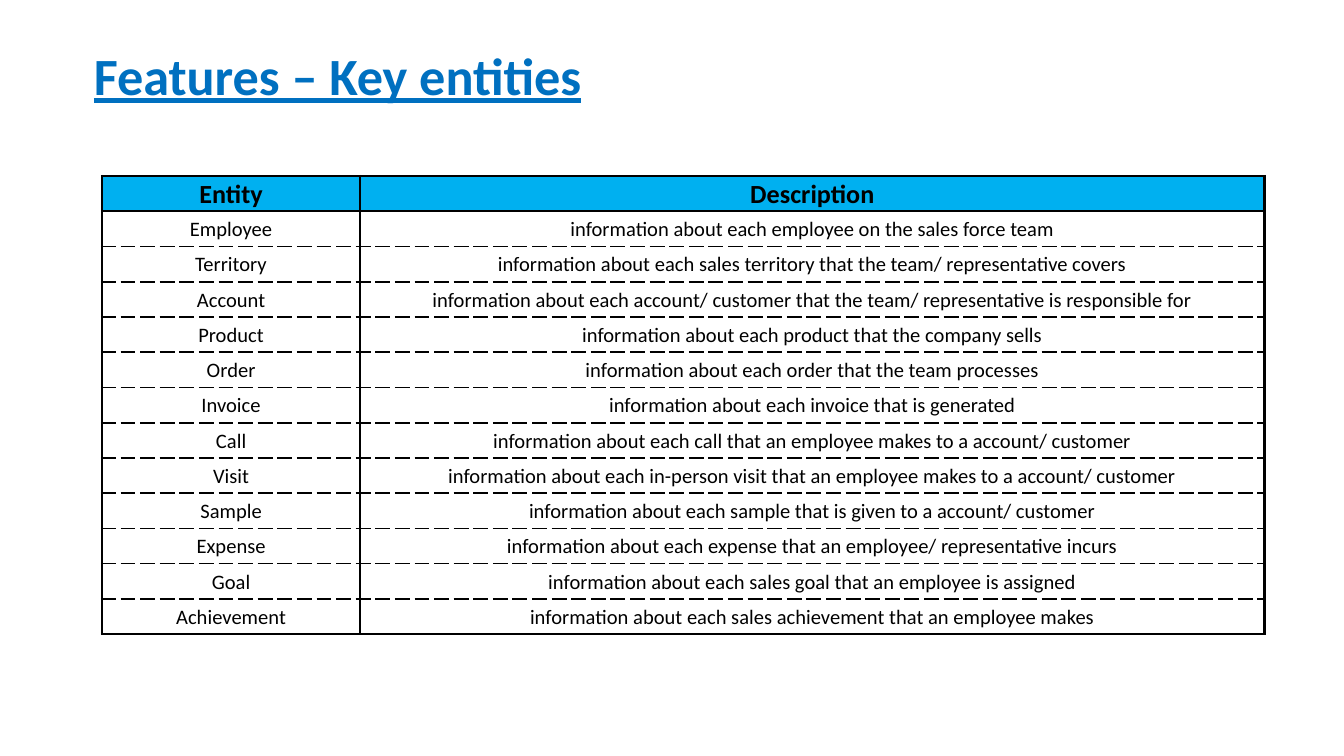
from lxml import etree
from pptx import Presentation
from pptx.dml.color import RGBColor
from pptx.enum.text import MSO_ANCHOR, MSO_AUTO_SIZE, PP_ALIGN
from pptx.oxml.ns import qn
from pptx.util import Inches, Pt

TITLE = "Features – Key entities"
ROWS = [
    ("Entity", "Description"),
    ("Employee", "information about each employee on the sales force team"),
    ("Territory", "information about each sales territory that the team/ representative covers"),
    ("Account", "information about each account/ customer that the team/ representative is responsible for"),
    ("Product", "information about each product that the company sells"),
    ("Order", "information about each order that the team processes"),
    ("Invoice", "information about each invoice that is generated"),
    ("Call", "information about each call that an employee makes to a account/ customer"),
    ("Visit", "information about each in-person visit that an employee makes to a account/ customer"),
    ("Sample", "information about each sample that is given to a account/ customer"),
    ("Expense", "information about each expense that an employee/ representative incurs"),
    ("Goal", "information about each sales goal that an employee is assigned"),
    ("Achievement", "information about each sales achievement that an employee makes"),
]
SLIDE_WIDTH = 10
SLIDE_HEIGHT = SLIDE_WIDTH * 9 / 16
COL_WIDTHS = (1.92, 6.73)
LEFT, TOP, HEIGHT = 0.76, 1.31, 3.41
BLACK, BLUE, HEADER_FILL = "000000", "0070C0", "00B0F0"
SOLID, DASHED = (1.5, "solid"), (1, "sysDash")


def color(value):
    return RGBColor.from_string(value)


def set_font(p, size, value, bold=False):
    p.font.name = "Calibri"
    p.font.size = Pt(size)
    p.font.bold = bold
    p.font.color.rgb = color(value)


def add_border(cell, side, width, dash):
    tcPr = cell._tc.get_or_add_tcPr()
    ln = etree.SubElement(tcPr, qn(f"a:ln{side}"), w=str(Pt(width)))
    fill = etree.SubElement(ln, qn("a:solidFill"))
    etree.SubElement(fill, qn("a:srgbClr"), val=BLACK)
    etree.SubElement(ln, qn("a:prstDash"), val=dash)


def fill_cell(cell, text, row):
    header = row == 0
    top = SOLID if row <= 1 else DASHED
    bottom = SOLID if row in (0, len(ROWS) - 1) else DASHED
    for side, style in zip("LRTB", (SOLID, SOLID, top, bottom)):
        add_border(cell, side, *style)
    if header:
        cell.fill.solid()
        cell.fill.fore_color.rgb = color(HEADER_FILL)
    else:
        cell.fill.background()
    cell.margin_left = cell.margin_right = cell.margin_top = Inches(0.01)
    cell.margin_bottom = 0
    cell.vertical_anchor = MSO_ANCHOR.MIDDLE
    cell.text = text
    p = cell.text_frame.paragraphs[0]
    p.alignment = PP_ALIGN.CENTER
    set_font(p, 14 if header else 11, BLACK, header)


prs = Presentation()
prs.slide_width, prs.slide_height = Inches(SLIDE_WIDTH), Inches(SLIDE_HEIGHT)
s = prs.slides.add_slide(prs.slide_layouts[6])

tf = s.shapes.add_textbox(Inches(0.6), Inches(0.27), Inches(4.49), Inches(0.57)).text_frame
tf.word_wrap = False
tf.auto_size = MSO_AUTO_SIZE.SHAPE_TO_FIT_TEXT
p = tf.paragraphs[0]
p.text = TITLE
set_font(p, 28, BLUE, True)
p.font.underline = True

table = s.shapes.add_table(
    len(ROWS), len(COL_WIDTHS), Inches(LEFT), Inches(TOP), Inches(sum(COL_WIDTHS)), Inches(HEIGHT)
).table
for column, width in zip(table.columns, COL_WIDTHS):
    column.width = Inches(width)
for i, texts in enumerate(ROWS):
    for j, text in enumerate(texts):
        fill_cell(table.cell(i, j), text, i)

prs.save("out.pptx")
